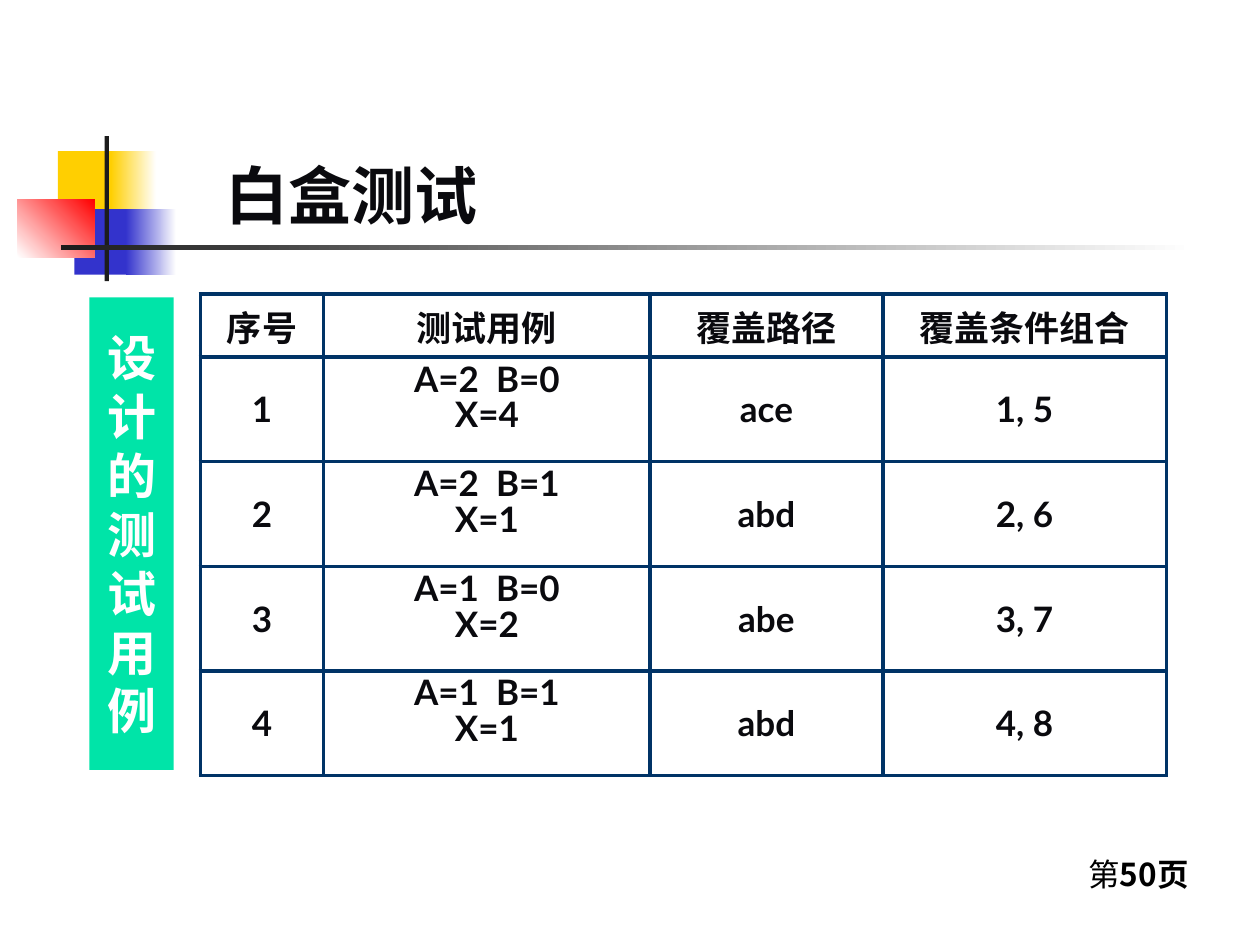
from dataclasses import dataclass

from lxml.etree import SubElement
from pptx import Presentation
from pptx.dml.color import RGBColor
from pptx.enum.shapes import MSO_SHAPE
from pptx.enum.text import MSO_ANCHOR, PP_ALIGN
from pptx.oxml.ns import qn
from pptx.util import Pt


@dataclass(frozen=True)
class Theme:
    ink: str = "0A0A0E"
    black: str = "000000"
    white: str = "FFFFFF"
    yellow: str = "FFCF01"
    blue: str = "3333CC"
    red: str = "FF0000"
    charcoal: str = "1C1C1C"
    mint: str = "00E4A8"
    navy: str = "003366"
    serif: str = "Times New Roman"
    sans: str = "Lato"
    cjk: str = "Noto Sans CJK SC"
    title_size: int = 36
    label_size: int = 28
    table_size: int = 20
    page_size: int = 18
    border: float = 2.25


THEME = Theme()

# Content
TITLE = "白盒测试"
SIDE_LABEL = "设计的测试用例"
PAGE_PREFIX, PAGE_NUMBER = "第", "50页"
HEADINGS = ["序号", "测试用例", "覆盖路径", "覆盖条件组合"]
CASES = [
    ["1", "A=2  B=0\nX=4", "ace", "1, 5"],
    ["2", "A=2  B=1\nX=1", "abd", "2, 6"],
    ["3", "A=1  B=0\nX=2", "abe", "3, 7"],
    ["4", "A=1  B=1\nX=1", "abd", "4, 8"],
]
CASE_COLUMN = 1

# Layout in points: left, top, width, height
TITLE_BOX = (121.7, 54.7, 542.2, 81.4)
LABEL_BOX = (51.1, 170, 48.2, 270)
PAGE_BOX = (614.9, 485.3, 77.8, 28.8)
TABLE_ORIGIN = (114.5, 168)
COLUMN_WIDTHS = [70.5, 186.5, 133, 162]
HEADER_HEIGHT, CASE_HEIGHT = 36, 59.8

# Ornament: box, start colour, end colour (None for solid), angle
ORNAMENT = [
    ((33.1, 86.4, 34.6, 37.4), THEME.yellow, None, 0),
    ((63.4, 86.4, 25.9, 37.4), THEME.yellow, THEME.white, 0),
    ((42.5, 119.5, 33.1, 37.4), THEME.blue, None, 0),
    ((72, 119.5, 28.8, 37.4), THEME.blue, THEME.white, 0),
    ((10.1, 113.8, 43.9, 33.1), THEME.white, THEME.red, 45),
    ((59.8, 77.8, 2.4, 82.8), THEME.charcoal, None, 0),
    ((34.6, 140.2, 648, 2.4), THEME.charcoal, THEME.white, 0),
]


def rgb(value):
    return RGBColor.from_string(value)


def points(box):
    return [Pt(length) for length in box]


def style_run(run, size, face, color, bold=True, east_asian=THEME.cjk):
    font = run.font
    font.size, font.name, font.bold = Pt(size), face, bold
    font.color.rgb = rgb(color)
    SubElement(run._r.rPr, qn("a:ea")).set("typeface", east_asian)


def add_block(slide, box, start, end=None, angle=0):
    block = slide.shapes.add_shape(MSO_SHAPE.RECTANGLE, *points(box))
    block.shadow.inherit = False
    block.line.fill.background()
    if end is None:
        block.fill.solid()
        block.fill.fore_color.rgb = rgb(start)
    else:
        block.fill.gradient()
        block.fill.gradient_angle = angle
        for stop, color in zip(block.fill.gradient_stops, (start, end)):
            stop.color.rgb = rgb(color)
    return block


def border_cell(cell):
    properties = cell._tc.get_or_add_tcPr()
    for position, side in enumerate(("a:lnL", "a:lnR", "a:lnT", "a:lnB")):
        edge = properties.makeelement(qn(side), {"w": str(Pt(THEME.border))})
        fill = SubElement(edge, qn("a:solidFill"))
        SubElement(fill, qn("a:srgbClr")).set("val", THEME.navy)
        properties.insert(position, edge)


def fill_cell(cell, text, is_case):
    cell.fill.background()
    border_cell(cell)
    cell.vertical_anchor = MSO_ANCHOR.TOP if is_case else MSO_ANCHOR.MIDDLE
    cell.text_frame.text = text
    for paragraph in cell.text_frame.paragraphs:
        paragraph.alignment = PP_ALIGN.CENTER
        if is_case:
            paragraph.line_spacing = 0.85
        style_run(paragraph.runs[0], THEME.table_size, THEME.sans, THEME.ink)


def add_case_table(slide):
    rows = [HEADINGS] + CASES
    heights = [HEADER_HEIGHT] + [CASE_HEIGHT] * len(CASES)
    box = (*TABLE_ORIGIN, sum(COLUMN_WIDTHS), sum(heights))
    table = slide.shapes.add_table(len(rows), len(HEADINGS), *points(box)).table
    table.first_row = table.horz_banding = False
    for column, width in zip(table.columns, COLUMN_WIDTHS):
        column.width = Pt(width)
    for row, height, texts in zip(table.rows, heights, rows):
        row.height = Pt(height)
        for index, (cell, text) in enumerate(zip(row.cells, texts)):
            fill_cell(cell, text, texts is not HEADINGS and index == CASE_COLUMN)


def main():
    deck = Presentation()
    deck.slide_width, deck.slide_height = Pt(720), Pt(540)
    slide = deck.slides.add_slide(deck.slide_layouts[5])

    # Ornament beside the title
    for box, start, end, angle in ORNAMENT:
        add_block(slide, box, start, end, angle)

    # Title
    title = slide.shapes.title
    title.left, title.top, title.width, title.height = points(TITLE_BOX)
    title.text_frame.text = TITLE
    title.text_frame.vertical_anchor = MSO_ANCHOR.BOTTOM
    heading = title.text_frame.paragraphs[0]
    heading.alignment = PP_ALIGN.LEFT
    style_run(heading.runs[0], THEME.title_size, THEME.serif, THEME.ink)

    # Page number
    page = slide.shapes.add_textbox(*points(PAGE_BOX)).text_frame
    page.word_wrap = True
    for text, bold in ((PAGE_PREFIX, False), (PAGE_NUMBER, True)):
        run = page.paragraphs[0].add_run()
        run.text = text
        style_run(run, THEME.page_size, THEME.cjk, THEME.black, bold)

    # Test cases
    add_case_table(slide)

    # Side label, one character to a line
    label = add_block(slide, LABEL_BOX, THEME.mint).text_frame
    label.word_wrap = True
    label.vertical_anchor = MSO_ANCHOR.MIDDLE
    label.text = SIDE_LABEL
    label.paragraphs[0].alignment = PP_ALIGN.CENTER
    style_run(label.paragraphs[0].runs[0], THEME.label_size, THEME.serif,
              THEME.white, east_asian=THEME.sans)

    deck.save("out.pptx")


if __name__ == "__main__":
    main()
